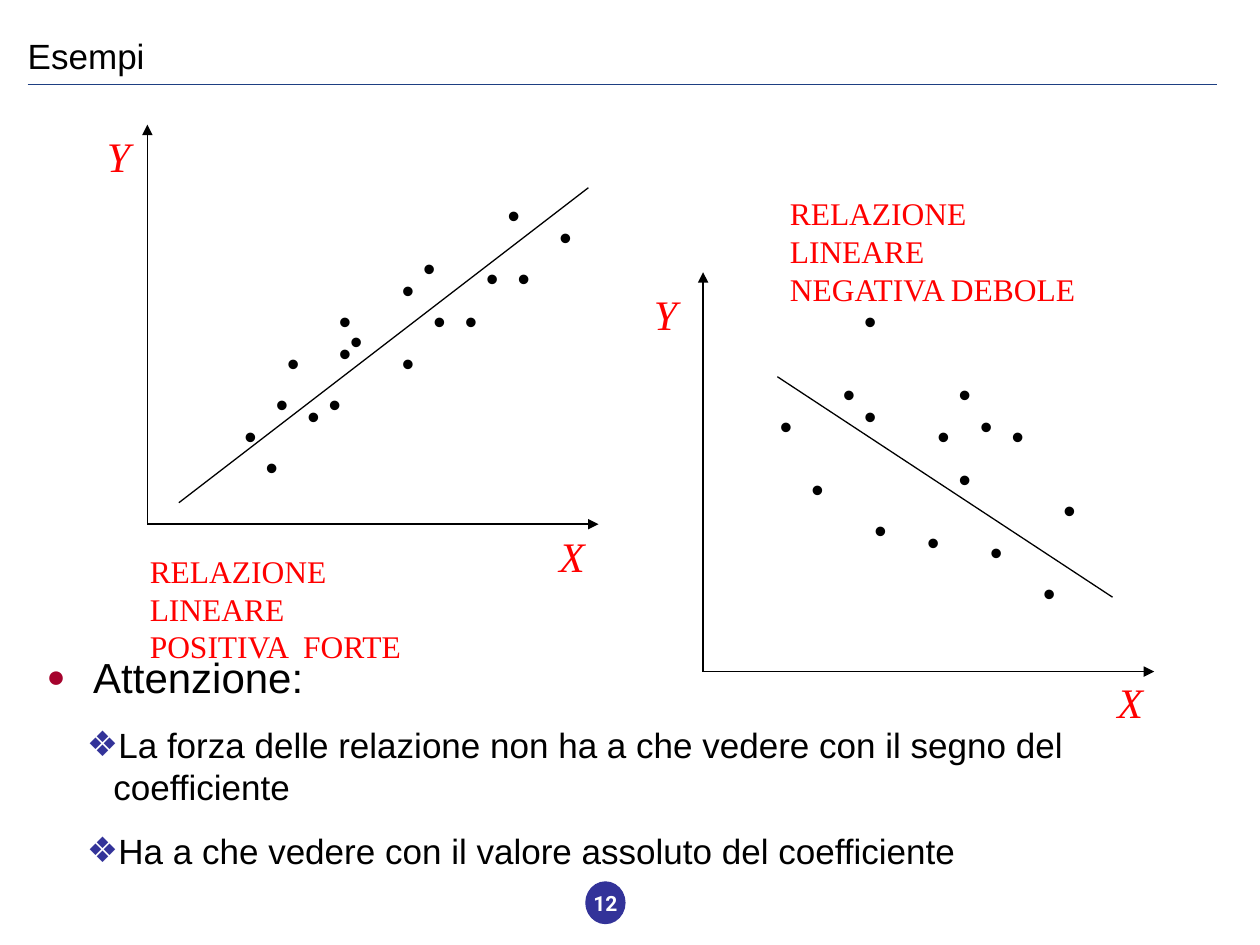
"""Build a slide comparing a strong positive and a weak negative linear relation."""
from lxml import etree
from pptx import Presentation
from pptx.dml.color import RGBColor
from pptx.enum.shapes import MSO_CONNECTOR, MSO_SHAPE
from pptx.enum.text import MSO_ANCHOR, MSO_AUTO_SIZE, PP_ALIGN
from pptx.oxml.ns import qn
from pptx.util import Pt

PX = 9144
STRAIGHT = MSO_CONNECTOR.STRAIGHT
DISC = MSO_SHAPE.FLOWCHART_CONNECTOR
FIT, FIXED = MSO_AUTO_SIZE.SHAPE_TO_FIT_TEXT, MSO_AUTO_SIZE.NONE
TOP, MIDDLE, BOTTOM = MSO_ANCHOR.TOP, MSO_ANCHOR.MIDDLE, MSO_ANCHOR.BOTTOM
CENTER = PP_ALIGN.CENTER

THEME = {
    "ink": "000000", "red": "FF0000", "rule": "1E3F82",
    "navy": "333399", "wine": "A5032D", "white": "FFFFFF",
    "title": {"name": "Arial", "size": Pt(20)},
    "head": {"name": "Arial", "size": Pt(24)},
    "item": {"name": "Arial", "size": Pt(20)},
    "dot": {"name": "Arial", "size": Pt(20)},
    "axis": {"name": "Times New Roman", "size": Pt(24), "italic": True},
    "label": {"name": "Times New Roman", "size": Pt(18)},
    "page": {"name": "Roboto", "size": Pt(12), "bold": True},
}

PLOTS = [
    {
        "box": (117, 99, 358, 317), "x": (317, 317), "y": (-42, 0),
        "trend": (25, 300, 350, 50), "at": (-8, 334),
        "label": ["RELAZIONE  LINEARE", "POSITIVA  FORTE"],
        "dots": [(84, 250), (117, 209), (151, 150), (192, 167), (209, 92),
                 (276, 50), (134, 200), (317, 67), (259, 100), (142, 134),
                 (192, 109), (101, 167), (92, 200), (142, 159), (284, 100),
                 (67, 225), (217, 134), (242, 134)],
    },
    {
        "box": (558, 216, 358, 317), "x": (319, 316), "y": (-49, 8),
        "trend": (59, 83, 325, 258), "at": (59, -67),
        "label": ["RELAZIONE  LINEARE", "NEGATIVA DEBOLE"],
        "dots": [(101, 75), (76, 150), (235, 108), (193, 75), (176, 108),
                 (218, 200), (126, 183), (118, 17), (51, 100), (193, 142),
                 (210, 100), (260, 233), (276, 167), (118, 92), (168, 192)],
    },
]

ITEMS = [
    "La forza delle relazione non ha a che vedere con il segno del coefficiente",
    "Ha a che vedere con il valore assoluto del coefficiente",
]


def color(key):
    """Return a theme colour."""
    return RGBColor.from_string(THEME[key])


def scale(*sizes):
    """Turn px into EMU."""
    return [size * PX for size in sizes]


def apply(target, values):
    """Set each value as an attribute of the target."""
    for name, value in values.items():
        setattr(target, name, value)


def write(para, text, style, ink):
    """Add one styled run to a paragraph."""
    run = para.add_run()
    run.text = text
    apply(run.font, THEME[style])
    run.font.color.rgb = color(ink)


def add_text(slide, box, lines, style, ink):
    """Add a text box that fits its lines."""
    frame = slide.shapes.add_textbox(*scale(*box)).text_frame
    apply(frame, {"word_wrap": False, "auto_size": FIT})
    for row, line in enumerate(lines):
        para = frame.add_paragraph() if row else frame.paragraphs[0]
        write(para, line, style, ink)
    return frame


def add_block(slide, box, anchor):
    """Add a wrapping text box without insets."""
    frame = slide.shapes.add_textbox(*scale(*box)).text_frame
    apply(frame, {"word_wrap": True, "auto_size": FIXED,
                  "vertical_anchor": anchor, "margin_left": 0,
                  "margin_top": 0, "margin_right": 0, "margin_bottom": 0})
    return frame


def add_line(slide, ends, ink="ink", width=0.75, arrow=False):
    """Draw a straight line, with an arrowhead at its end if asked."""
    link = slide.shapes.add_connector(STRAIGHT, *scale(*ends))
    link.line.color.rgb = color(ink)
    link.line.width = Pt(width)
    if arrow:
        etree.SubElement(link.line._get_or_add_ln(), qn("a:tailEnd"), type="triangle")
    etree.SubElement(link._element.spPr, qn("a:effectLst"))


def add_bullet(para, mark, ink, left, indent, size=100):
    """Give a paragraph a coloured bullet and a hanging indent."""
    props = para._p.get_or_add_pPr()
    props.set("marL", str(left * PX))
    props.set("indent", str(indent * PX))
    tint = etree.SubElement(props, qn("a:buClr"))
    etree.SubElement(tint, qn("a:srgbClr"), val=THEME[ink])
    etree.SubElement(props, qn("a:buSzPct"), val=str(size * 1000))
    etree.SubElement(props, qn("a:buFont"), typeface="Arial")
    etree.SubElement(props, qn("a:buChar"), char=mark)


def add_header(slide, box):
    """Place the title and the rule beneath it."""
    left, top, width, height = box
    frame = add_block(slide, (left, top, width, height - 6), BOTTOM)
    write(frame.paragraphs[0], "Esempi", "title", "ink")
    base = top + height
    add_line(slide, (left, base, left + width, base), "rule", 1)


def add_plot(slide, plot):
    """Place axes, labels, trend line and points of one plot."""
    left, top, width, height = plot["box"]
    base = top + height

    def place(spot, *size):
        """Return a box at a spot inside the plot."""
        return (left + spot[0], top + spot[1], *size)

    add_line(slide, (left, base, left + width, base), arrow=True)
    add_line(slide, (left, base, left, top), arrow=True)
    add_text(slide, place(plot["x"], 40, 50), ["X"], "axis", "red")
    add_text(slide, place(plot["y"], 38, 50), ["Y"], "axis", "red")
    for spot in plot["dots"]:
        add_text(slide, place(spot, 31, 44), ["•"], "dot", "ink")
    start, end = plot["trend"][:2], plot["trend"][2:]
    add_line(slide, place(start) + place(end))
    add_text(slide, place(plot["at"], 279, 70), plot["label"], "label", "red")


def add_notice(slide, box):
    """Place the bulleted notice."""
    frame = add_block(slide, box, TOP)
    head = frame.paragraphs[0]
    write(head, "Attenzione:", "head", "ink")
    add_bullet(head, "●", "wine", 47, -37, 75)
    for item in ITEMS:
        para = frame.add_paragraph()
        apply(para, {"level": 1, "space_before": Pt(12.5)})
        write(para, item, "item", "ink")
        add_bullet(para, "❖", "navy", 63, -21)


def add_page(slide, box):
    """Place the page number in its disc."""
    disc = slide.shapes.add_shape(DISC, *scale(*box))
    disc.shadow.inherit = False
    disc.fill.solid()
    disc.fill.fore_color.rgb = color("navy")
    disc.line.color.rgb = color("navy")
    disc.line.width = Pt(0.75)
    frame = disc.text_frame
    apply(frame, {"word_wrap": False, "vertical_anchor": MIDDLE})
    frame.paragraphs[0].alignment = CENTER
    write(frame.paragraphs[0], "12", "page", "white")


def main():
    """Build and save the slide."""
    deck = Presentation()
    deck.slide_width, deck.slide_height = scale(1000, 750)
    slide = deck.slides.add_slide(deck.slide_layouts[6])
    add_page(slide, (465, 700, 31, 33))
    add_header(slide, (22, 29, 944, 38))
    for plot in PLOTS:
        add_plot(slide, plot)
    add_notice(slide, (27, 517, 937, 214))
    deck.save("out.pptx")


if __name__ == "__main__":
    main()
